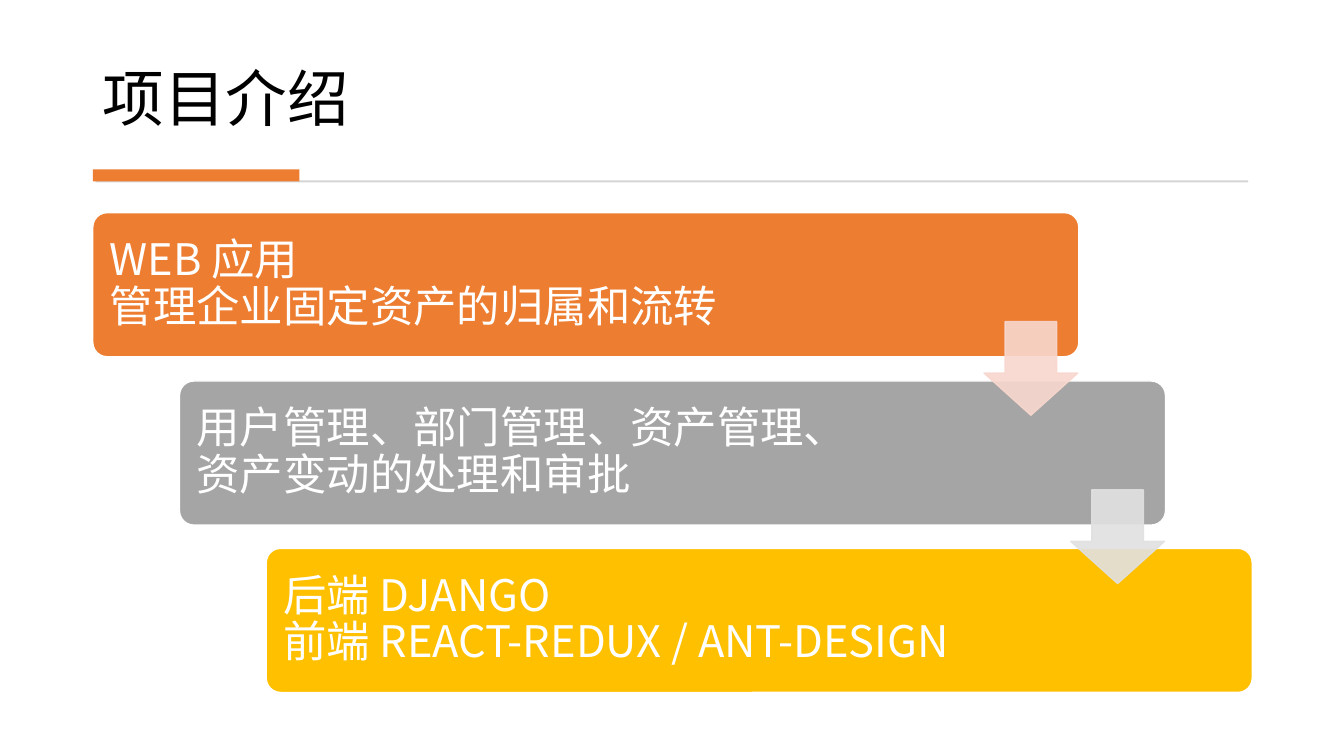
import dataclasses

import lxml.etree
import pptx
import pptx.dml.color
import pptx.enum.shapes
import pptx.enum.text
import pptx.oxml.ns
import pptx.util

PX = 9144
SHAPES = pptx.enum.shapes.MSO_SHAPE
ANCHORS = pptx.enum.text.MSO_ANCHOR


@dataclasses.dataclass(frozen=True)
class Theme:
    """Colours, font and type sizes of the slide."""

    font: str = "Noto Sans CJK SC"
    title_size: int = 44
    step_size: int = 31
    ink: str = "000000"
    paper: str = "FFFFFF"
    rule: str = "D5D5D5"
    accent: str = "ED7D31"
    steps: tuple = ("ED7D31", "A5A5A5", "FFC000")
    arrows: tuple = ("F8D7CE", "E1E1E1")
    arrow_opacity: int = 90


THEME = Theme()
STEPS = (
    "WEB 应用\n管理企业固定资产的归属和流转",
    "用户管理、部门管理、资产管理、\n资产变动的处理和审批",
    "后端 DJANGO\n前端 REACT-REDUX / ANT-DESIGN",
)


def emu(box):
    """Turn a box in px into EMU lengths."""
    return [pptx.util.Emu(length * PX) for length in box]


def rgb(colour):
    """Return the colour object for a hex code."""
    return pptx.dml.color.RGBColor.from_string(colour)


def add_block(slide, preset, box, fill, outline=None, adjustments=()):
    """Add a filled preset shape without shadow."""
    block = slide.shapes.add_shape(preset, *emu(box))
    block.shadow.inherit = False
    block.fill.solid()
    block.fill.fore_color.rgb = rgb(fill)
    if outline:
        block.line.color.rgb = rgb(outline)
        block.line.width = pptx.util.Pt(1)
    else:
        block.line.fill.background()
    for index, value in enumerate(adjustments):
        block.adjustments[index] = value
    return block


def add_text(slide, box, words, size, colour, anchor, insets):
    """Add a wrapped text box holding one paragraph."""
    frame = slide.shapes.add_textbox(*emu(box)).text_frame
    frame.word_wrap = True
    frame.vertical_anchor = anchor
    frame.margin_left, frame.margin_top = emu(insets)
    frame.margin_right, frame.margin_bottom = emu(insets)
    paragraph = frame.paragraphs[0]
    paragraph.text = words
    paragraph.line_spacing = 0.9
    paragraph.font.name = THEME.font
    paragraph.font.size = pptx.util.Pt(size)
    paragraph.font.color.rgb = rgb(colour)
    defaults = paragraph.font._element
    east_asian = lxml.etree.SubElement(defaults, pptx.oxml.ns.qn("a:ea"))
    east_asian.set("typeface", THEME.font)


def set_opacity(block, percent):
    """Make the fill and line of a block partly transparent."""
    for colour in block._element.spPr.iter(pptx.oxml.ns.qn("a:srgbClr")):
        alpha = lxml.etree.SubElement(colour, pptx.oxml.ns.qn("a:alpha"))
        alpha.set("val", str(percent * 1000))


def draw_header(slide, box, title):
    """Place the title with its rule and accent bar beneath."""
    left, top, width, height = box
    add_text(slide, (left, top, width, 111), title, THEME.title_size,
             THEME.ink, ANCHORS.BOTTOM, (10, 5))
    bottom = top + height
    add_block(slide, SHAPES.RECTANGLE, (left + 3, bottom - 2, width - 6, 2), THEME.rule)
    add_block(slide, SHAPES.RECTANGLE, (left, bottom - 13, 205, 12), THEME.accent)


def draw_staircase(slide, box, steps):
    """Place the steps on a descending diagonal, joined by arrows."""
    left, top, width, height = box
    step_width, step_height, arrow_size = 978, 143, 93
    gaps = len(steps) - 1
    across = (width - step_width) / gaps
    down = (height - step_height) / gaps
    corners = [(round(left + i * across), round(top + i * down)) for i in range(len(steps))]
    for (x, y), words, fill in zip(corners, steps, THEME.steps):
        add_block(slide, SHAPES.ROUNDED_RECTANGLE, (x, y, step_width, step_height),
                  fill, THEME.paper, (0.1,))
        add_text(slide, (x + 4, y + 4, 800, step_height - 8), words, THEME.step_size,
                 THEME.paper, ANCHORS.MIDDLE, (13, 13))
    for (x, y), tint in zip(corners, THEME.arrows):
        arrow_box = (x + step_width - arrow_size - 1, y + 108, arrow_size, arrow_size)
        arrow = add_block(slide, SHAPES.DOWN_ARROW, arrow_box, tint, tint)
        arrow.adjustments[0] = 0.55
        arrow.adjustments[1] = 0.45
        set_opacity(arrow, THEME.arrow_opacity)


def main():
    """Build the slide and save it."""
    deck = pptx.Presentation()
    deck.slide_width, deck.slide_height = emu((1333, 750))
    slide = deck.slides.add_slide(deck.slide_layouts[6])
    draw_header(slide, (92, 28, 1149, 153), "项目介绍")
    draw_staircase(slide, (92, 211, 1150, 476), STEPS)
    deck.save("out.pptx")


if __name__ == "__main__":
    main()
